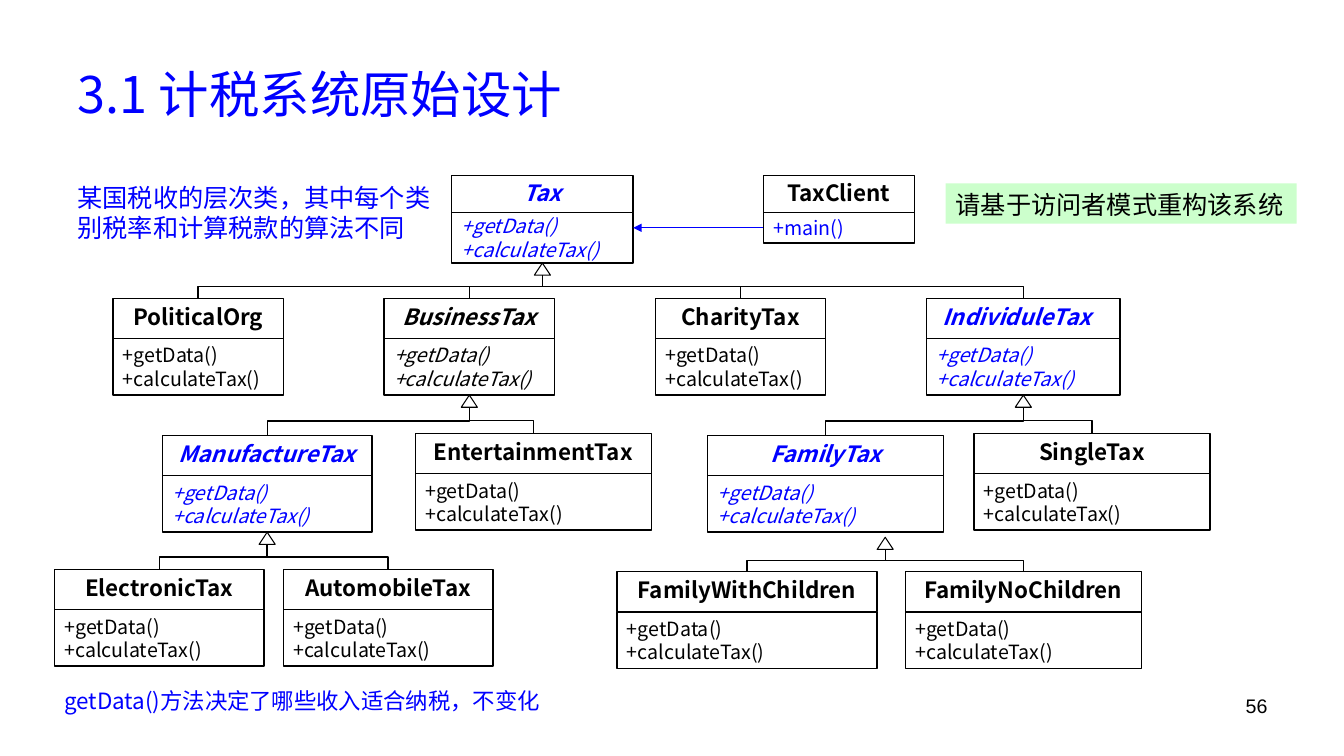
from dataclasses import dataclass

import pptx
import pptx.dml.color
import pptx.enum.dml
import pptx.enum.shapes
import pptx.enum.text
import pptx.oxml
import pptx.oxml.ns
import pptx.util
from pptx.util import Inches

ALIGN = pptx.enum.text.PP_ALIGN
ANCHOR = pptx.enum.text.MSO_ANCHOR
SHAPE = pptx.enum.shapes.MSO_SHAPE
CONNECTOR = pptx.enum.shapes.MSO_CONNECTOR


@dataclass(frozen=True)
class Theme:
    font: str = "Noto Sans CJK SC"
    number_font: str = "Arial"
    blue: str = "0000FF"
    black: str = "000000"
    white: str = "FFFFFF"
    green: str = "CCFFCC"
    title: int = 36
    note: int = 18
    name: int = 16
    member: int = 14


@dataclass(frozen=True)
class ClassBox:
    name: str
    left: float
    top: float
    width: float
    color: str = Theme.black
    italic: bool = False
    name_height: float = 0.4
    member_height: float = 0.56
    members: tuple = ("+getData()", "+calculateTax()")
    name_margin_right: float = 0.1

    @property
    def center(self):
        return self.left + self.width / 2

    @property
    def bottom(self):
        return self.top + self.name_height + self.member_height


def rgb(color):
    return pptx.dml.color.RGBColor.from_string(color)


def add_child(parent, tag, **attributes):
    child = pptx.oxml.parse_xml(f"<{tag} {pptx.oxml.ns.nsdecls('a')}/>")
    for key, value in attributes.items():
        child.set(key, value)
    parent.append(child)


def write_text(shape, text, *, size, color=Theme.black, font=Theme.font, bold=False,
               italic=False, align=ALIGN.LEFT, anchor=ANCHOR.TOP, spacing=None):
    """Fill a shape with text, one paragraph per line."""
    frame = shape.text_frame
    frame.word_wrap = True
    frame.vertical_anchor = anchor
    frame.text = text
    for paragraph in frame.paragraphs:
        paragraph.alignment = align
        paragraph.line_spacing = spacing
        for run in paragraph.runs:
            run.font.size = pptx.util.Pt(size)
            run.font.name = font
            run.font.bold = bold
            run.font.italic = italic
            run.font.color.rgb = rgb(color)
            add_child(run.font._element, "a:ea", typeface=font)


def line_height(size):
    return pptx.util.Pt(round(size * 1.22))


class DiagramSlide:
    def __init__(self, presentation, theme):
        self.theme = theme
        self.slide = presentation.slides.add_slide(presentation.slide_layouts[5])
        self.shapes = self.slide.shapes

    def title(self, text, left, top, width, height):
        title = self.shapes.title
        title.left, title.top = Inches(left), Inches(top)
        title.width, title.height = Inches(width), Inches(height)
        write_text(title, text, size=self.theme.title, color=self.theme.blue,
                   anchor=ANCHOR.MIDDLE)

    def text(self, text, left, top, width, height, fill=None, **style):
        box = self.shapes.add_textbox(Inches(left), Inches(top), Inches(width), Inches(height))
        if fill:
            box.fill.solid()
            box.fill.fore_color.rgb = rgb(fill)
        write_text(box, text, spacing=line_height(style["size"]), **style)

    def outlined(self, shapes, kind, left, top, width, height, fill=None, weight=1):
        shape = shapes.add_shape(kind, Inches(left), Inches(top), Inches(width), Inches(height))
        shape.shadow.inherit = False
        if fill:
            shape.fill.solid()
            shape.fill.fore_color.rgb = rgb(fill)
        else:
            shape.fill.background()
        shape.line.color.rgb = rgb(self.theme.black)
        shape.line.width = pptx.util.Pt(weight)
        return shape

    def class_box(self, box):
        """Draw a grouped UML class and return its member compartment."""
        shapes = self.shapes.add_group_shape().shapes
        members = self.outlined(shapes, SHAPE.RECTANGLE, box.left, box.top + box.name_height,
                                box.width, box.member_height)
        # TaxClient has a black name above blue members
        member_color = self.theme.blue if box.name == "TaxClient" else box.color
        write_text(members, "\n".join(box.members), size=self.theme.member,
                   color=member_color, italic=box.italic, anchor=ANCHOR.MIDDLE,
                   spacing=line_height(self.theme.member))
        name = self.outlined(shapes, SHAPE.RECTANGLE, box.left, box.top, box.width,
                             box.name_height)
        write_text(name, box.name, size=self.theme.name, color=box.color, bold=True,
                   italic=box.italic, align=ALIGN.CENTER, anchor=ANCHOR.MIDDLE, spacing=0.9)
        name.text_frame.margin_right = Inches(box.name_margin_right)
        return members

    def connector(self, kind, begin, end, color):
        connector = self.shapes.add_connector(kind, *map(Inches, begin + end))
        connector.line.color.rgb = rgb(color)
        connector.line.width = pptx.util.Pt(1)
        add_child(connector.element.spPr, "a:effectLst")
        return connector

    def arrow(self, source, begin, end):
        connector = self.connector(CONNECTOR.STRAIGHT, begin, end, self.theme.blue)
        connector.begin_connect(source, 1)
        add_child(connector.line._get_or_add_ln(), "a:tailEnd", type="triangle")

    def branch(self, child, x, y, bus):
        """Rise from a child to (x, y), turning at the height of the bus."""
        rise, run = child.top - y, x - child.center
        middle_x, middle_y = (x + child.center) / 2, (y + child.top) / 2
        half_rise = rise / 2 if run > 0 else -rise / 2
        half_run = abs(run) / 2
        connector = self.connector(
            CONNECTOR.ELBOW, (middle_x + half_rise, middle_y + half_run),
            (middle_x - half_rise, middle_y - half_run), self.theme.black)
        properties = connector.element.spPr
        quarter_turn = 90 if run > 0 else 270
        properties.find(pptx.oxml.ns.qn("a:xfrm")).set("rot", str(quarter_turn * 60000))
        turn = round((child.top - bus) / rise * 100000)
        guides = properties.find(".//" + pptx.oxml.ns.qn("a:avLst"))
        add_child(guides, "a:gd", name="adj1", fmla=f"val {turn}")

    def inheritance(self, x, y, children):
        """Draw a triangle with its apex at (x, y) and a branch to each child."""
        width, height = 0.16, 0.12
        self.outlined(self.shapes, SHAPE.ISOSCELES_TRIANGLE, x - width / 2, y, width, height,
                      fill=self.theme.white, weight=0.75)
        base = y + height
        bus = (base + sum(child.top for child in children) / len(children)) / 2
        for child in children:
            self.branch(child, x, base, bus)


def main():
    theme = Theme()
    presentation = pptx.Presentation()
    presentation.slide_width, presentation.slide_height = Inches(13.33), Inches(7.5)
    diagram = DiagramSlide(presentation, theme)
    diagram.title("3.1 计税系统原始设计", 0.67, 0.3, 12, 1.25)

    changing = {"color": theme.blue, "italic": True}
    tax = ClassBox("Tax", 4.48, 1.74, 1.8, name_height=0.37, member_height=0.5, **changing)
    client = ClassBox("TaxClient", 7.57, 1.74, 1.5, name_height=0.37, member_height=0.3,
                      members=("+main()",))
    political = ClassBox("PoliticalOrg", 1.12, 2.96, 1.69)
    business = ClassBox("BusinessTax", 3.81, 2.96, 1.69, italic=True)
    charity = ClassBox("CharityTax", 6.5, 2.96, 1.69)
    individual = ClassBox("IndividuleTax", 9.19, 2.96, 1.92, name_margin_right=0.23, **changing)
    manufacture = ClassBox("ManufactureTax", 1.61, 4.32, 2.08, **changing)
    entertainment = ClassBox("EntertainmentTax", 4.12, 4.3, 2.34)
    family = ClassBox("FamilyTax", 7.02, 4.32, 2.34, **changing)
    single = ClassBox("SingleTax", 9.66, 4.3, 2.34)
    electronic = ClassBox("ElectronicTax", 0.54, 5.65, 2.08)
    automobile = ClassBox("AutomobileTax", 2.81, 5.65, 2.08)
    with_children = ClassBox("FamilyWithChildren", 6.12, 5.67, 2.58)
    no_children = ClassBox("FamilyNoChildren", 8.98, 5.67, 2.34)

    for box in (tax, political, business, charity, individual, manufacture, entertainment,
                family, single, electronic, automobile, with_children, no_children):
        diagram.class_box(box)
    for parent, children in ((tax, (political, business, charity, individual)),
                             (business, (manufacture, entertainment)),
                             (manufacture, (electronic, automobile)),
                             (individual, (family, single))):
        diagram.inheritance(parent.center, parent.bottom, children)
    diagram.inheritance(8.78, 5.33, (with_children, no_children))
    diagram.arrow(diagram.class_box(client), (client.left, 2.26), (tax.left + tax.width, 2.26))

    diagram.text("某国税收的层次类，其中每个类别税率和计算税款的算法不同", 0.67, 1.75, 3.72, 0.71,
                 size=theme.note, color=theme.blue)
    diagram.text("请基于访问者模式重构该系统", 9.38, 1.82, 3.48, 0.4, fill=theme.green,
                 size=theme.note)
    diagram.text("getData()方法决定了哪些收入适合纳税，不变化", 0.54, 6.76, 5.64, 0.37,
                 size=theme.name, color=theme.blue)
    diagram.text("56", 9.56, 6.83, 3.11, 0.52, size=theme.member, font=theme.number_font,
                 align=ALIGN.RIGHT)
    presentation.save("out.pptx")


if __name__ == "__main__":
    main()
